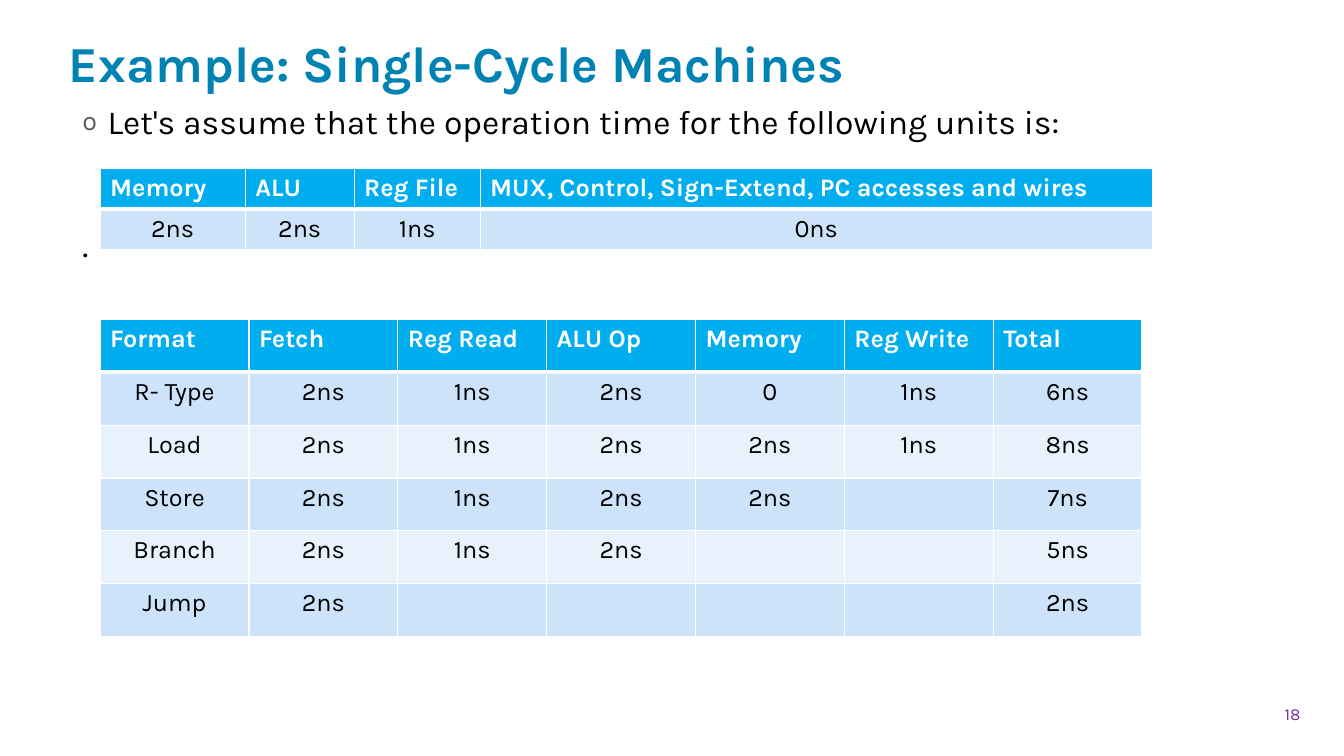
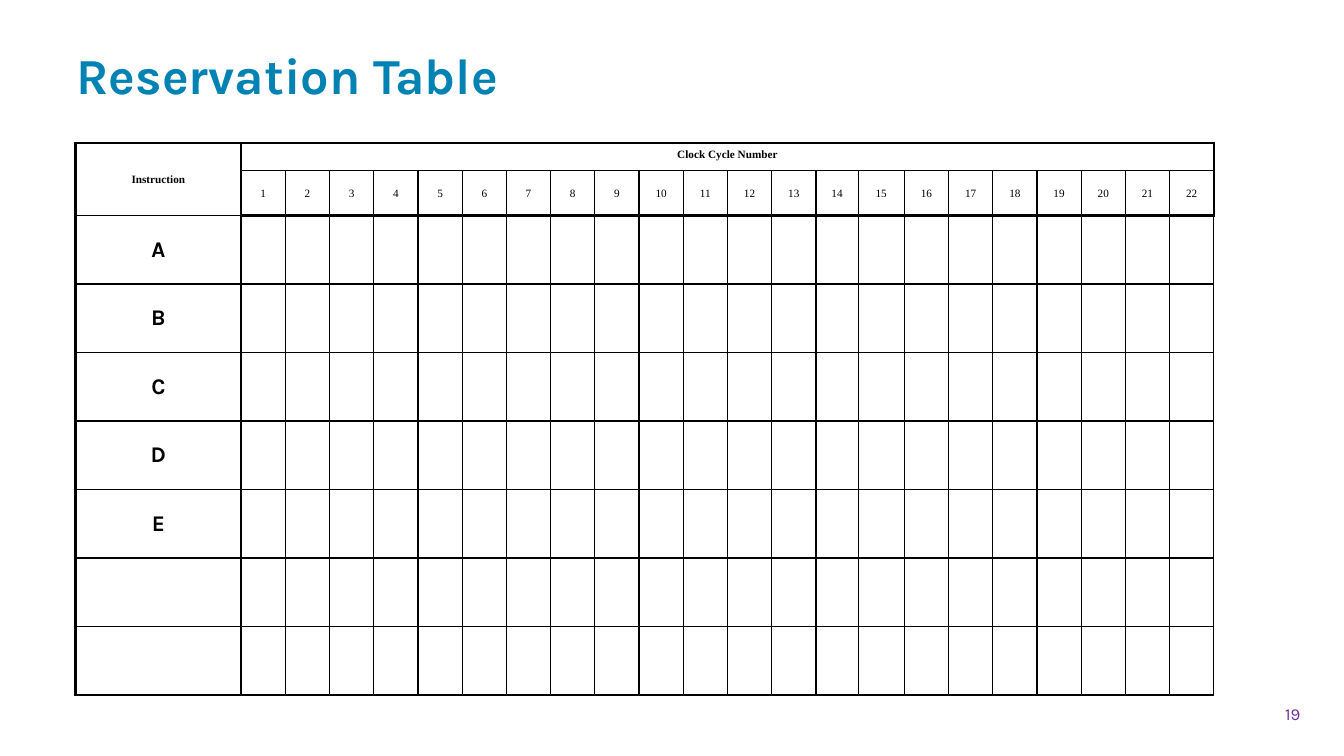
import dataclasses
import typing

import lxml.etree
import pptx
import pptx.dml.color
import pptx.enum.text
import pptx.oxml.ns
import pptx.util

Pt = pptx.util.Pt
Align = pptx.enum.text.PP_ALIGN
Anchor = pptx.enum.text.MSO_ANCHOR

FONT = "Karla"
BLACK, WHITE = "000000", "FFFFFF"
TITLE_BLUE, HEADER_BLUE = "0083B3", "00AEEF"
DARK_BAND, LIGHT_BAND = "CCE3F9", "E7F2FC"
BULLET_GRAY, NUMBER_PURPLE = "595959", "7030A0"


@dataclasses.dataclass(frozen=True)
class Box:
    left: float
    top: float
    width: float
    height: float


@dataclasses.dataclass(frozen=True)
class TextStyle:
    size: float
    color: str = BLACK
    bold: bool = False
    font: str = FONT
    align: typing.Any = Align.CENTER
    anchor: typing.Any = Anchor.TOP


@dataclasses.dataclass(frozen=True)
class CellStyle:
    text: TextStyle
    fill: typing.Optional[str]
    border_color: str
    left: float = 1
    right: float = 1
    top: float = 1
    bottom: float = 1


@dataclasses.dataclass(frozen=True)
class TableSpec:
    left: float
    top: float
    columns: list[float]
    heights: list[float]
    rows: list[list[str]]
    style: typing.Callable[[int, int], CellStyle]


TITLE = TextStyle(36, TITLE_BLUE, True, align=Align.LEFT, anchor=Anchor.BOTTOM)
BODY = TextStyle(24, align=Align.LEFT)
PAGE_NUMBER = TextStyle(12, NUMBER_PURPLE, align=Align.RIGHT, anchor=Anchor.MIDDLE)
TIMING_HEADER = TextStyle(18, WHITE, True, align=Align.LEFT)
TIMING_VALUE = TextStyle(18)
CYCLE_HEADING = TextStyle(8, bold=True, font="Times New Roman")
CYCLE_NUMBER = TextStyle(8, font="Times New Roman", anchor=Anchor.MIDDLE)
INSTRUCTION_HEADING = dataclasses.replace(CYCLE_NUMBER, bold=True)
INSTRUCTION = TextStyle(16, bold=True, anchor=Anchor.MIDDLE)

PAGE_NUMBER_BOX = Box(870, 495.2, 66, 28.8)
CYCLES = 22
INSTRUCTIONS = ["A", "B", "C", "D", "E", "", ""]


def rgb(color: str) -> pptx.dml.color.RGBColor:
    return pptx.dml.color.RGBColor.from_string(color)


def add_element(parent, tag: str, **attributes: str):
    return lxml.etree.SubElement(parent, pptx.oxml.ns.qn(tag), attributes)


def format_paragraph(paragraph, style: TextStyle) -> None:
    paragraph.alignment = style.align
    for run in paragraph.runs:
        run.font.name = style.font
        run.font.size = Pt(style.size)
        run.font.bold = style.bold
        run.font.color.rgb = rgb(style.color)


def place(shape, box: Box) -> None:
    shape.left, shape.top = Pt(box.left), Pt(box.top)
    shape.width, shape.height = Pt(box.width), Pt(box.height)


def set_text(shape, text: str, style: TextStyle) -> None:
    frame = shape.text_frame
    frame.text = text
    frame.word_wrap = True
    frame.auto_size = pptx.enum.text.MSO_AUTO_SIZE.NONE
    frame.vertical_anchor = style.anchor
    for paragraph in frame.paragraphs:
        format_paragraph(paragraph, style)


def add_slide(presentation, layout: int, title: str, title_box: Box, number: int):
    slide = presentation.slides.add_slide(presentation.slide_layouts[layout])
    place(slide.shapes.title, title_box)
    set_text(slide.shapes.title, title, TITLE)
    slide.shapes.title.text_frame.paragraphs[0].line_spacing = 0.8
    box = PAGE_NUMBER_BOX
    number_shape = slide.shapes.add_textbox(
        Pt(box.left), Pt(box.top), Pt(box.width), Pt(box.height))
    set_text(number_shape, str(number), PAGE_NUMBER)
    return slide


def set_indent(paragraph, margin: float, indent: float):
    properties = paragraph._p.get_or_add_pPr()
    properties.set("marL", str(Pt(margin)))
    properties.set("indent", str(Pt(indent)))
    return properties


def fill_body(shape) -> None:
    place(shape, Box(48, 72, 798, 381))
    set_text(shape, "Let's assume that the operation time for the following units is:\n.", BODY)
    statement, period = shape.text_frame.paragraphs
    for paragraph in (statement, period):
        paragraph.line_spacing = 0.9
    statement.space_before = Pt(0)
    period.space_before = Pt(61.5)
    bullet = set_indent(statement, 21.6, -18)
    add_element(add_element(bullet, "a:buClr"), "a:srgbClr", val=BULLET_GRAY)
    add_element(bullet, "a:buSzPct", val="80000")
    add_element(bullet, "a:buFont", typeface=FONT)
    add_element(bullet, "a:buChar", char="o")
    add_element(set_indent(period, 3.6, 0), "a:buNone")


def format_cell(cell, text: str, style: CellStyle) -> None:
    cell.text_frame.text = text
    paragraph = cell.text_frame.paragraphs[0]
    format_paragraph(paragraph, style.text)
    if not text:
        add_element(paragraph._p, "a:endParaRPr", sz=str(style.text.size * 100))
    cell.vertical_anchor = style.text.anchor
    properties = cell._tc.get_or_add_tcPr()
    edges = {"L": style.left, "R": style.right, "T": style.top, "B": style.bottom}
    for edge, width in edges.items():
        line = add_element(properties, f"a:ln{edge}", w=str(Pt(width)))
        add_element(add_element(line, "a:solidFill"), "a:srgbClr", val=style.border_color)
    if style.fill:
        cell.fill.solid()
        cell.fill.fore_color.rgb = rgb(style.fill)
    else:
        cell.fill.background()


def add_table(slide, spec: TableSpec):
    table = slide.shapes.add_table(
        len(spec.heights), len(spec.columns), Pt(spec.left), Pt(spec.top),
        Pt(sum(spec.columns)), Pt(sum(spec.heights))).table
    table.first_row = table.horz_banding = False
    for column, width in zip(table.columns, spec.columns):
        column.width = Pt(width)
    for row, height in zip(table.rows, spec.heights):
        row.height = Pt(height)
    for row_index, texts in enumerate(spec.rows):
        for column_index, text in enumerate(texts):
            format_cell(table.cell(row_index, column_index), text,
                        spec.style(row_index, column_index))
    return table


def timing_style(row: int, column: int) -> CellStyle:
    if row == 0:
        return CellStyle(TIMING_HEADER, HEADER_BLUE, WHITE, bottom=3)
    band = DARK_BAND if row % 2 else LIGHT_BAND
    return CellStyle(TIMING_VALUE, band, WHITE, top=3 if row == 1 else 1)


def reservation_text(row: int, column: int) -> TextStyle:
    if row > 1:
        return INSTRUCTION
    if column == 0:
        return INSTRUCTION_HEADING
    return CYCLE_HEADING if row == 0 else CYCLE_NUMBER


def reservation_style(row: int, column: int) -> CellStyle:
    def weight(heavy: bool) -> float:
        return 2 if heavy else 1

    last_row = len(INSTRUCTIONS) + 1
    return CellStyle(
        reservation_text(row, column), None, BLACK,
        left=weight(column <= 1),
        right=weight(column == 0 or row == 0 or (row, column) == (1, CYCLES)),
        top=weight(row == 0 or (row == 2 and column > 0)),
        bottom=weight((row == 1 and column > 0) or (row, column) == (last_row, 0)))


def add_single_cycle_slide(presentation) -> None:
    slide = add_slide(presentation, 1, "Example: Single-Cycle Machines",
                      Box(41.8, 21.6, 684, 48.2), 18)
    fill_body(slide.placeholders[1])
    units = [
        ["Memory", "ALU", "Reg File", "MUX, Control, Sign-Extend, PC accesses and wires"],
        ["2ns", "2ns", "1ns", "0ns"],
    ]
    formats = [
        ["Format", "Fetch", "Reg Read", "ALU Op", "Memory", "Reg Write", "Total"],
        ["R- Type", "2ns", "1ns", "2ns", "0", "1ns", "6ns"],
        ["Load", "2ns", "1ns", "2ns", "2ns", "1ns", "8ns"],
        ["Store", "2ns", "1ns", "2ns", "2ns", "", "7ns"],
        ["Branch", "2ns", "1ns", "2ns", "", "", "5ns"],
        ["Jump", "2ns", "", "", "", "", "2ns"],
    ]
    add_table(slide, TableSpec(71.5, 120.2, [103.7, 77.8, 90, 480.2], [29.2] * 2,
                               units, timing_style))
    add_table(slide, TableSpec(71.5, 228.2, [106.35] * 7, [37.75] * 6,
                               formats, timing_style))


def add_reservation_slide(presentation) -> None:
    slide = add_slide(presentation, 5, "Reservation Table", Box(47.5, 23.8, 684, 54), 19)
    blanks = [""] * CYCLES
    rows = [
        ["Instruction", "Clock Cycle Number"] + blanks[1:],
        [""] + [str(cycle) for cycle in range(1, CYCLES + 1)],
    ] + [[instruction] + blanks for instruction in INSTRUCTIONS]
    columns = [118.3] + [31.58] * 13 + [30.2, 33] + [31.58] * 7
    heights = [19.8, 32] + [48.95] * len(INSTRUCTIONS)
    table = add_table(slide, TableSpec(54, 102.2, columns, heights, rows, reservation_style))
    table.cell(0, 0).merge(table.cell(1, 0))
    table.cell(0, 1).merge(table.cell(0, CYCLES))


def main() -> None:
    presentation = pptx.Presentation()
    presentation.slide_width, presentation.slide_height = Pt(960), Pt(540)
    add_single_cycle_slide(presentation)
    add_reservation_slide(presentation)
    presentation.save("out.pptx")


if __name__ == "__main__":
    main()
